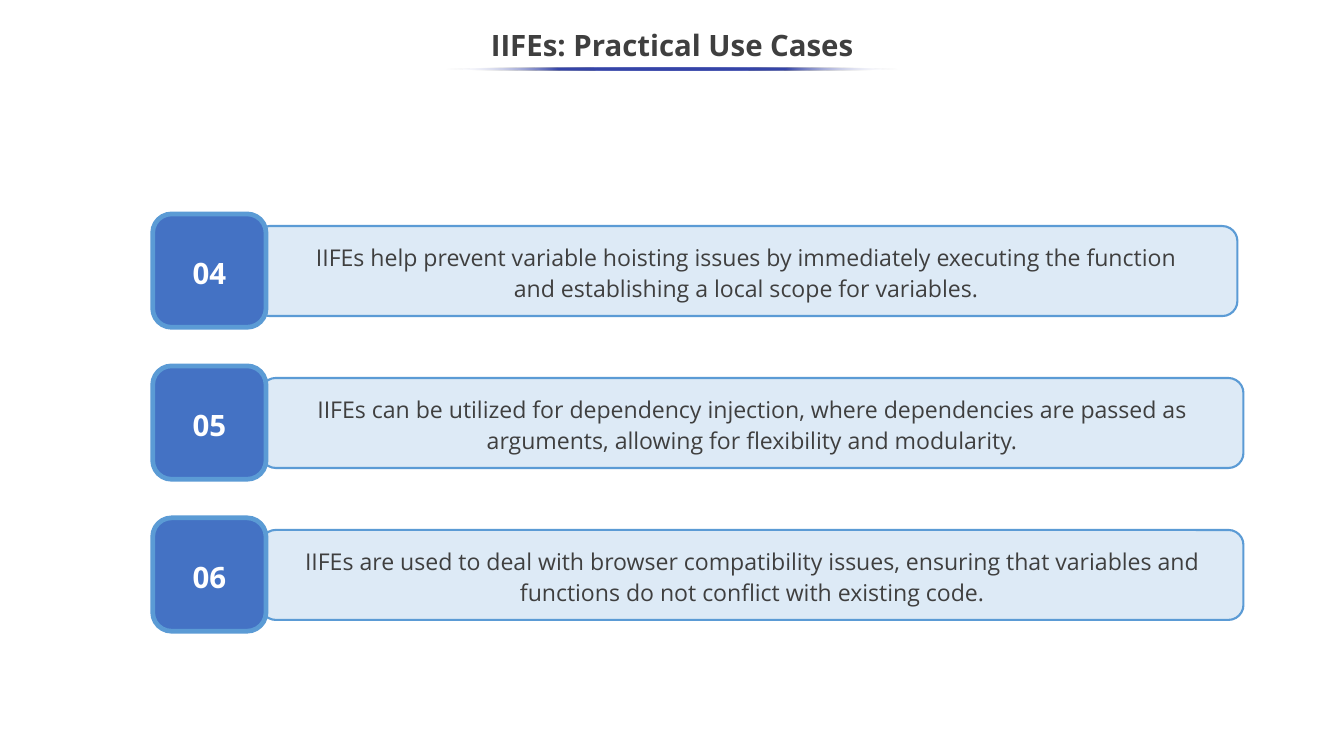
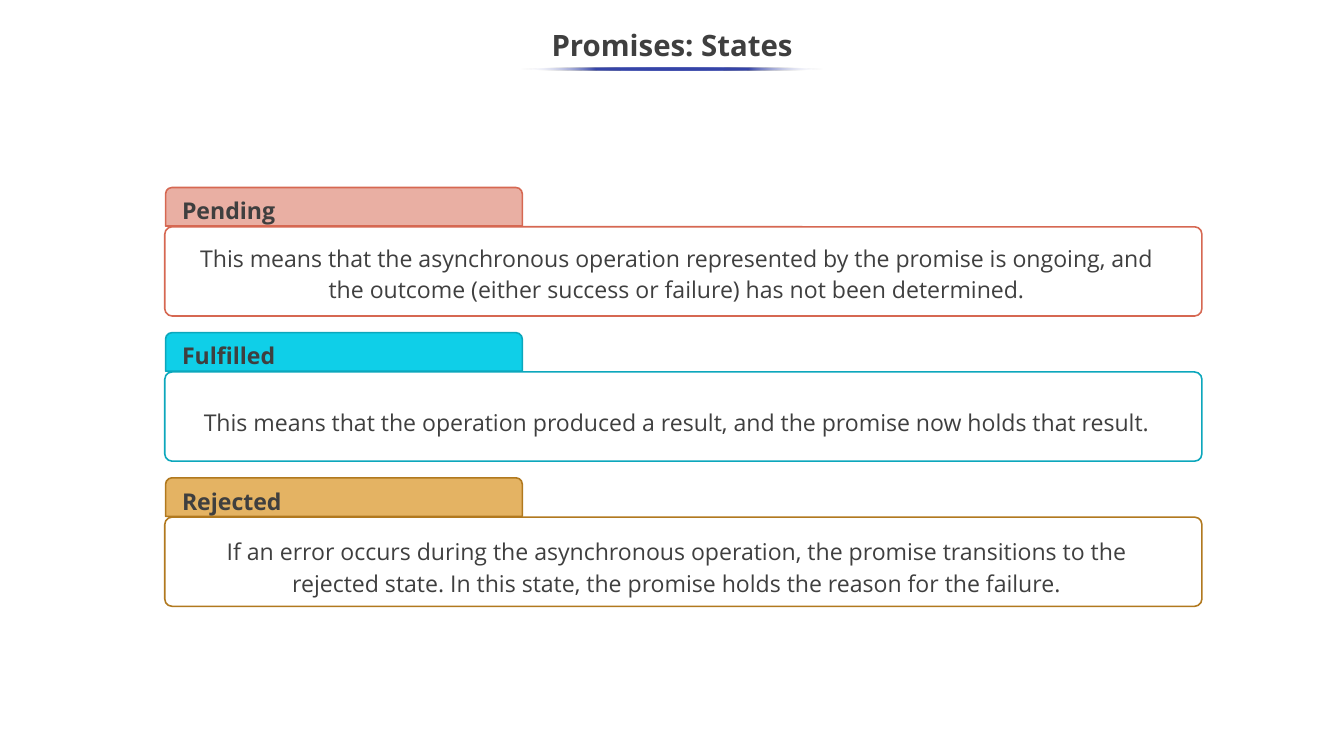
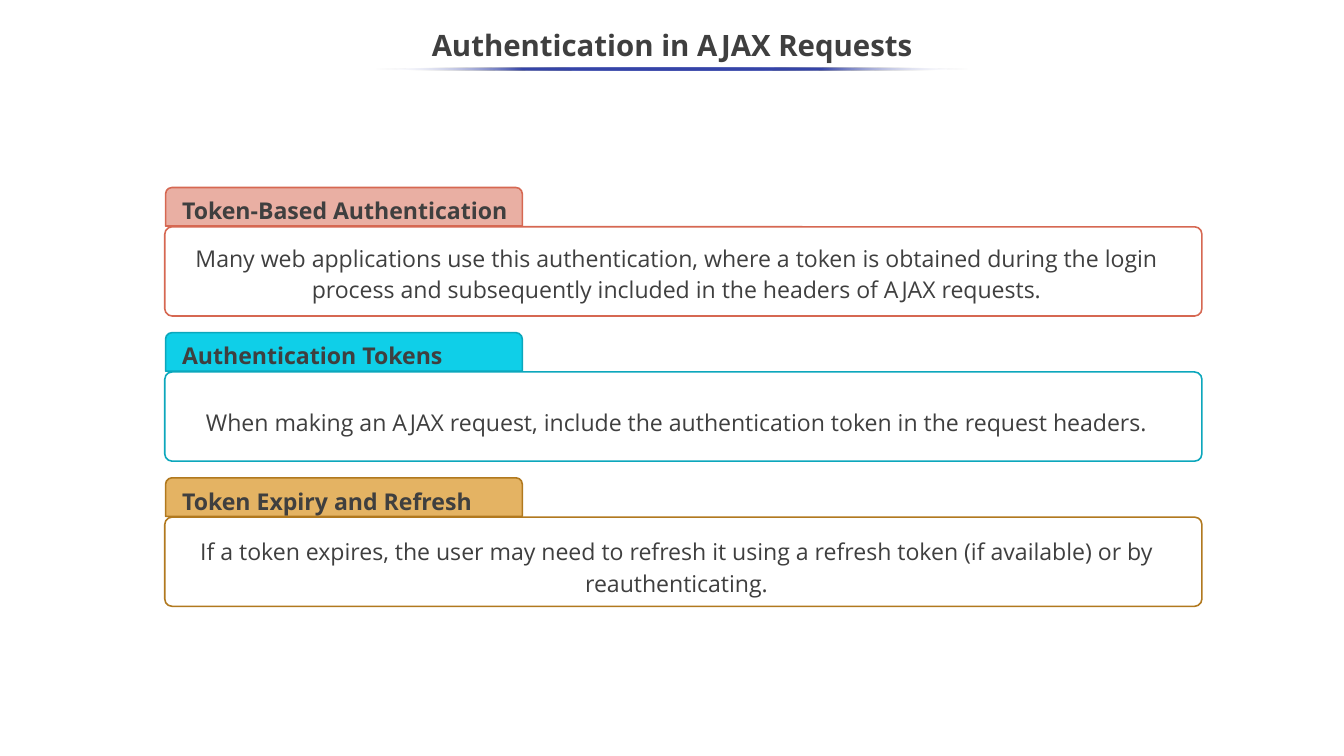
from dataclasses import dataclass

from pptx import Presentation
from pptx import util as u
from pptx.dml.color import RGBColor
from pptx.enum import shapes, text
from pptx.oxml import parse_xml
from pptx.oxml.ns import nsdecls


@dataclass(frozen=True)
class Theme:
    font: str = "Open Sans"
    ink: str = "3F3F3F"
    paper: str = "FFFFFF"
    rule: str = "3645A9"
    badge: str = "4472C4"
    panel: str = "DDEAF6"
    outline: str = "5B9BD5"
    title_size: int = 28
    body_size: int = 22
    spacing: float = 1.14
    tabs: tuple = (("E9AFA3", "D66852"), ("0FCFE8", "0CA7BC"), ("E4B363", "B1791F"))


THEME = Theme()
WIDTH, HEIGHT = 17.78, 10

USE_CASES = {
    "title": "IIFEs: Practical Use Cases",
    "rule": 6,
    "items": [
        ("04", 3.37, ["IIFEs help prevent variable hoisting issues by immediately executing the function",
                      "and establishing a local scope for variables."]),
        ("05", 3.45, ["IIFEs can be utilized for dependency injection, where dependencies are passed as "
                      "arguments, allowing for flexibility and modularity."]),
        ("06", 3.45, ["IIFEs are used to deal with browser compatibility issues, ensuring that variables and "
                      "functions do not conflict with existing code."]),
    ],
}
STATES = {
    "title": "Promises: States",
    "rule": 4,
    "items": [
        ("Pending", "This means that the asynchronous operation represented by the promise is ongoing, and "
                    "the outcome (either success or failure) has not been determined."),
        ("Fulfilled", "This means that the operation produced a result, and the promise now holds that result."),
        ("Rejected", "If an error occurs during the asynchronous operation, the promise transitions to the "
                     "rejected state. In this state, the promise holds the reason for the failure."),
    ],
}
AUTHENTICATION = {
    "title": "Authentication in AJAX Requests",
    "rule": 7.88,
    "items": [
        ("Token-Based Authentication",
         "Many web applications use this authentication, where a token is obtained during the login "
         "process and subsequently included in the headers of AJAX requests."),
        ("Authentication Tokens",
         "When making an AJAX request, include the authentication token in the request headers."),
        ("Token Expiry and Refresh",
         "If a token expires, the user may need to refresh it using a refresh token (if available) or by "
         "reauthenticating."),
    ],
}

BADGE_LEFT, BADGE_TOP, BADGE_SIZE, BADGE_PITCH = 2.02, 2.83, 1.5, 2.01
PANEL_DROP, PANEL_WIDTH, PANEL_HEIGHT = 0.16, 13, 1.19
CARD_LEFT, CARD_TOP, CARD_WIDTH, CARD_HEIGHT, CARD_PITCH = 2.18, 3, 13.72, 1.18, 1.92
TAB_RISE, TAB_WIDTH, TAB_HEIGHT = 0.52, 4.72, 0.51
COPY_LEFT, COPY_WIDTH = 2.31, 13.28
COPY_PLACES = [(0.13, 0.95), (0.38, 0.52), (0.17, 0.95)]


def inches(*lengths):
    return [u.Inches(length) for length in lengths]


def write(holder, paragraphs, size=THEME.body_size, color=THEME.ink, bold=False,
          align=text.PP_ALIGN.CENTER, anchor=text.MSO_ANCHOR.MIDDLE, spacing=THEME.spacing):
    frame = holder.text_frame
    frame.word_wrap = True
    frame.vertical_anchor = anchor
    for index, words in enumerate(paragraphs):
        paragraph = frame.add_paragraph() if index else frame.paragraphs[0]
        paragraph.alignment = align
        paragraph.line_spacing = spacing
        run = paragraph.add_run()
        run.text = words
        run.font.name = THEME.font
        run.font.size = u.Pt(size)
        run.font.bold = bold
        run.font.color.rgb = RGBColor.from_string(color)


def add_block(parent, kind, place, adjust, fill, line, weight):
    block = parent.shapes.add_shape(kind, *inches(*place))
    block.shadow.inherit = False
    for index, value in enumerate(adjust):
        block.adjustments[index] = value
    if fill:
        block.fill.solid()
        block.fill.fore_color.rgb = RGBColor.from_string(fill)
    else:
        block.fill.background()
    block.line.color.rgb = RGBColor.from_string(line)
    block.line.width = u.Pt(weight)
    return block


def add_copy(parent, place, words, **style):
    box = parent.shapes.add_textbox(*inches(*place))
    write(box, [words], anchor=text.MSO_ANCHOR.TOP, **style)
    box.text_frame.auto_size = text.MSO_AUTO_SIZE.SHAPE_TO_FIT_TEXT


def add_rule(slide, width):
    rule = slide.shapes.add_shape(shapes.MSO_SHAPE.OVAL, *inches((WIDTH - width) / 2, 0.89, width, 0.04))
    rule.shadow.inherit = False
    rule.line.fill.background()
    clear = '<a:alpha val="0"/>'
    stops = [(0, THEME.paper, clear), (25, THEME.rule, ""), (50, THEME.rule, ""),
             (75, THEME.rule, ""), (100, THEME.paper, clear)]
    stop_xml = "".join(f'<a:gs pos="{position * 1000}"><a:srgbClr val="{color}">{alpha}</a:srgbClr></a:gs>'
                       for position, color, alpha in stops)
    gradient = parse_xml(f'<a:gradFill {nsdecls("a")} rotWithShape="1"><a:gsLst>{stop_xml}</a:gsLst>'
                         '<a:lin ang="10800000" scaled="0"/></a:gradFill>')
    rule.element.spPr.find("{*}prstGeom").addnext(gradient)


def start_slide(deck, content):
    slide = deck.slides.add_slide(deck.slide_layouts[6])
    slide.background.fill.solid()
    slide.background.fill.fore_color.rgb = RGBColor.from_string(THEME.paper)
    title = slide.shapes.add_textbox(*inches(0, 0.25, WIDTH, 0.75))
    write(title, [content["title"]], size=THEME.title_size, bold=True, spacing=0.9)
    add_rule(slide, content["rule"])
    return slide


def build_numbered(deck, content):
    rows = start_slide(deck, content).shapes.add_group_shape()
    rounded = shapes.MSO_SHAPE.ROUNDED_RECTANGLE
    for index, (number, panel_left, sentences) in enumerate(content["items"]):
        top = BADGE_TOP + index * BADGE_PITCH
        panel = add_block(rows, rounded, (panel_left, top + PANEL_DROP, PANEL_WIDTH, PANEL_HEIGHT),
                          [0.167], THEME.panel, THEME.outline, 2)
        write(panel, sentences)
        badge = add_block(rows, rounded, (BADGE_LEFT, top, BADGE_SIZE, BADGE_SIZE),
                          [0.167], THEME.badge, THEME.outline, 4.5)
        write(badge, [number], size=THEME.title_size, color=THEME.paper, bold=True)


def build_cards(deck, content):
    slide = start_slide(deck, content)
    parts = zip(content["items"], THEME.tabs, COPY_PLACES)
    for index, ((heading, body), (fill, line), (drop, height)) in enumerate(parts):
        top = CARD_TOP + index * CARD_PITCH
        card = slide.shapes.add_group_shape()
        add_block(card, shapes.MSO_SHAPE.ROUNDED_RECTANGLE, (CARD_LEFT, top, CARD_WIDTH, CARD_HEIGHT),
                  [0.082], None, line, 1.5)
        add_block(card, shapes.MSO_SHAPE.ROUND_2_SAME_RECTANGLE,
                  (CARD_LEFT + 0.01, top - TAB_RISE, TAB_WIDTH, TAB_HEIGHT), [0.167, 0], fill, line, 1.5)
        add_copy(card, (COPY_LEFT, top + drop, COPY_WIDTH, height), body)
        add_copy(card, (COPY_LEFT, top - 0.5, 4.61, 0.52), heading, bold=True, align=text.PP_ALIGN.LEFT)


def main():
    deck = Presentation()
    deck.slide_width, deck.slide_height = inches(WIDTH, HEIGHT)
    build_numbered(deck, USE_CASES)
    build_cards(deck, STATES)
    build_cards(deck, AUTHENTICATION)
    deck.save("out.pptx")


if __name__ == "__main__":
    main()
